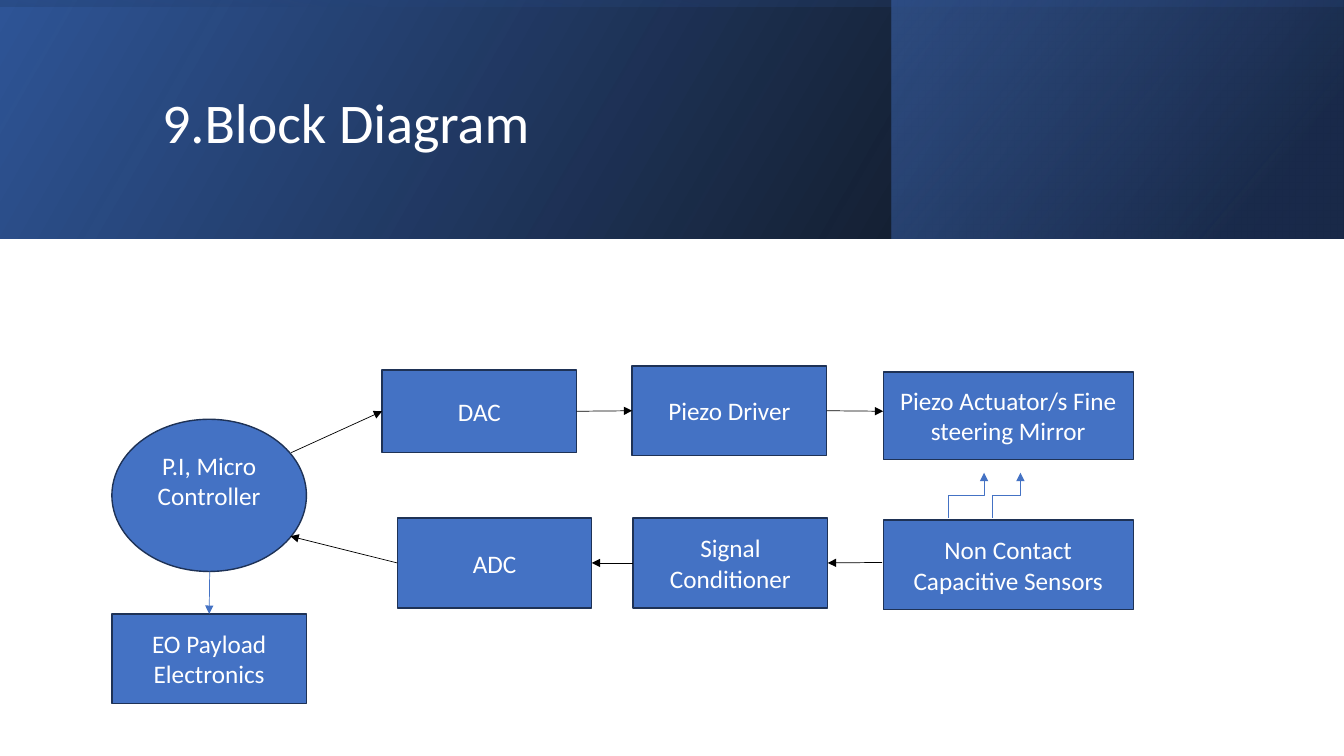
from lxml import etree
from pptx import Presentation
from pptx.dml.color import RGBColor
from pptx.enum import shapes, text
from pptx.oxml import parse_xml
from pptx.oxml.ns import nsdecls, qn
from pptx.util import Inches, Pt

FONT = "Calibri"
WHITE, BLACK, BLUE, OUTLINE = "FFFFFF", "000000", "4472C4", "1E3256"

# left, top, width, height, rotation, gradient angle, stops (position, colour, opacity)
BANNER = [
    (0, 0, 13.33, 2.37, 0, 330, [(0, "000000", 96), (100, "2F5597", 100)]),
    (8.84, 0, 4.48, 2.37, 0, 320, [(19, "203864", 68), (100, "4472C4", 48)]),
    (5.48, -5.48, 2.37, 13.33, 270, 350, [(23, "2F5597", 16), (99, "000000", 45)]),
]
TITLE = ("9.Block Diagram", 1.51, 0.38, 10.63, 1.72)

# name: label, left, top, width, height
BLOCKS = {
    "dac": ("DAC", 3.79, 3.67, 1.93, 0.82),
    "actuator": ("Piezo Actuator/s Fine steering Mirror", 8.76, 3.69, 2.48, 0.87),
    "driver": ("Piezo Driver", 6.27, 3.63, 1.93, 0.89),
    "controller": ("P.I, Micro Controller", 1.11, 4.16, 1.93, 1.51),
    "conditioner": ("Signal Conditioner", 6.28, 5.14, 1.93, 0.89),
    "adc": ("ADC", 3.94, 5.14, 1.93, 0.89),
    "sensors": ("Non Contact Capacitive Sensors", 8.76, 5.16, 2.48, 0.89),
    "payload": ("EO Payload Electronics", 1.11, 6.09, 1.93, 0.89),
}
TOP, LEFT, RIGHT = 0, 1, 3
# start, end, colour, (block, side) joined at the start, (block, side) joined at the end
ARROWS = [
    ((2.89, 4.49), (3.79, 4.08), BLACK, None, ("dac", LEFT)),
    ((5.72, 4.08), (6.27, 4.08), BLACK, ("dac", RIGHT), ("driver", LEFT)),
    ((8.21, 4.08), (8.76, 4.08), BLACK, ("driver", RIGHT), None),
    ((8.75, 5.58), (8.21, 5.58), BLACK, None, ("conditioner", RIGHT)),
    ((6.28, 5.58), (5.87, 5.58), BLACK, ("conditioner", LEFT), ("adc", RIGHT)),
    ((3.94, 5.58), (2.88, 5.32), BLACK, ("adc", LEFT), None),
    ((2.08, 5.67), (2.08, 6.09), BLUE, None, ("payload", TOP)),
]
SENSING_ARROWS = [((9.41, 5.14), (9.76, 4.69)), ((9.84, 5.14), (10.12, 4.69))]


def rgb(value):
    return RGBColor.from_string(value)


def inches(*lengths):
    return [Inches(length) for length in lengths]


def write(shape, words, size=18, color=WHITE, align=text.PP_ALIGN.CENTER, spacing=None):
    frame = shape.text_frame
    frame.word_wrap = True
    frame.vertical_anchor = text.MSO_ANCHOR.MIDDLE
    paragraph = frame.paragraphs[0]
    paragraph.text = words
    paragraph.alignment = align
    paragraph.line_spacing = spacing
    paragraph.font.name = FONT
    paragraph.font.size = Pt(size)
    paragraph.font.color.rgb = rgb(color)


def add_banner_layer(slide, left, top, width, height, rotation, angle, stops):
    shape = slide.shapes.add_shape(shapes.MSO_SHAPE.RECTANGLE, *inches(left, top, width, height))
    shape.shadow.inherit = False
    shape.line.fill.background()
    shape.rotation = rotation
    properties = shape.element.spPr
    properties.find(qn("a:xfrm")).set("flipH", "1")
    stop_xml = "".join(
        f'<a:gs pos="{position * 1000}"><a:srgbClr val="{color}">'
        f'<a:alpha val="{opacity * 1000}"/></a:srgbClr></a:gs>'
        for position, color, opacity in stops)
    gradient = parse_xml(
        f'<a:gradFill {nsdecls("a")} rotWithShape="1"><a:gsLst>{stop_xml}</a:gsLst>'
        f'<a:lin ang="{angle * 60000}" scaled="0"/></a:gradFill>')
    properties.find(qn("a:prstGeom")).addnext(gradient)


def add_block(slide, name, label, *box):
    kind = shapes.MSO_SHAPE.OVAL if name == "controller" else shapes.MSO_SHAPE.RECTANGLE
    block = slide.shapes.add_shape(kind, *inches(*box))
    block.shadow.inherit = False
    block.fill.solid()
    block.fill.fore_color.rgb = rgb(BLUE)
    block.line.color.rgb = rgb(OUTLINE)
    block.line.width = Pt(1)
    write(block, label)
    if name == "controller":
        block.text_frame.margin_bottom = Inches(0.35)
    return block


def add_arrow(slide, start, end, color, kind=shapes.MSO_CONNECTOR.STRAIGHT):
    arrow = slide.shapes.add_connector(kind, *inches(*start, *end))
    arrow.line.color.rgb = rgb(color)
    arrow.line.width = Pt(0.5)
    etree.SubElement(arrow.line._get_or_add_ln(), qn("a:tailEnd"), type="triangle")
    etree.SubElement(arrow.element.spPr, qn("a:effectLst"))
    return arrow


def add_rising_elbow(slide, start, end):
    """Elbow arrow that leaves and arrives vertically: a flipped elbow turned by 90 degrees."""
    middle_x, middle_y = (start[0] + end[0]) / 2, (start[1] + end[1]) / 2
    half_run, half_rise = (end[0] - start[0]) / 2, (start[1] - end[1]) / 2
    arrow = add_arrow(slide, (middle_x + half_rise, middle_y + half_run),
                      (middle_x - half_rise, middle_y - half_run),
                      BLUE, shapes.MSO_CONNECTOR.ELBOW)
    arrow.element.spPr.find(qn("a:xfrm")).set("rot", str(90 * 60000))


def main():
    presentation = Presentation()
    presentation.slide_width, presentation.slide_height = inches(13.33, 7.5)
    slide = presentation.slides.add_slide(presentation.slide_layouts[6])

    for layer in BANNER:
        add_banner_layer(slide, *layer)
    words, *box = TITLE
    write(slide.shapes.add_textbox(*inches(*box)), words, size=40,
          align=text.PP_ALIGN.LEFT, spacing=0.9)

    blocks = {name: add_block(slide, name, *block) for name, block in BLOCKS.items()}
    for start, end, color, source, target in ARROWS:
        arrow = add_arrow(slide, start, end, color)
        if source:
            arrow.begin_connect(blocks[source[0]], source[1])
        if target:
            arrow.end_connect(blocks[target[0]], target[1])
    for start, end in SENSING_ARROWS:
        add_rising_elbow(slide, start, end)

    presentation.save("out.pptx")


if __name__ == "__main__":
    main()
